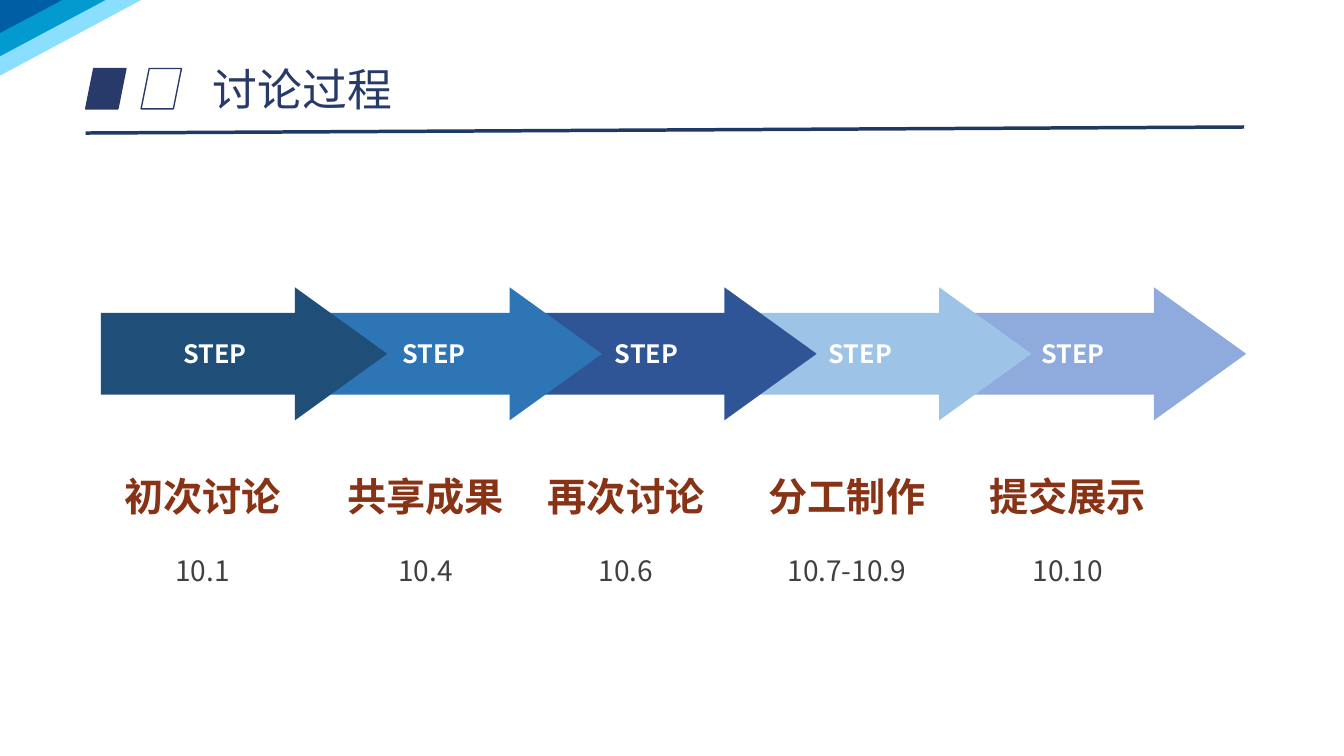
"""Build a discussion timeline slide with five overlapping step arrows."""
from dataclasses import dataclass

from lxml import etree
from pptx import Presentation
from pptx import util as u
from pptx.dml.color import RGBColor
from pptx.enum import shapes, text
from pptx.oxml.ns import qn

FONT = "Noto Sans CJK SC"
COLORS = {
    "corner_dark": "005EA4", "corner_mid": "039ACF", "corner_light": "89DFFD",
    "step1": "1F4E79", "step2": "2E75B6", "step3": "2F5597",
    "step4": "9DC3E6", "step5": "8FAADC",
    "white": "FFFFFF", "navy": "283A69", "rule": "203864",
    "stage": "883316", "date": "404040",
}
ARROW_LEFT, ARROW_PITCH = 1, 2.13


@dataclass(frozen=True)
class Band:
    color: str
    points: tuple


@dataclass(frozen=True)
class Step:
    color: str
    stage: str
    date: str
    tag_left: float
    label_left: float


@dataclass(frozen=True)
class Marker:
    left: float
    filled: bool


BANDS = [
    Band("corner_dark", ((0, 0.36), (0, 0), (0.68, 0))),
    Band("corner_mid", ((0, 0.61), (0, 0.33), (0.62, 0), (1.13, 0))),
    Band("corner_light", ((0, 0.75), (0, 0.56), (1.05, 0), (1.4, 0))),
]
STEPS = [
    Step("step1", "初次讨论", "10.1", 1.72, 1.13),
    Step("step2", "共享成果", "10.4", 3.89, 3.34),
    Step("step3", "再次讨论", "10.6", 6, 5.33),
    Step("step4", "分工制作", "10.7-10.9", 8.12, 7.52),
    Step("step5", "提交展示", "10.10", 10.23, 9.71),
]
MARKERS = [Marker(0.85, True), Marker(1.4, False)]


def color(name: str) -> RGBColor:
    return RGBColor.from_string(COLORS[name])


def inches(*lengths: float) -> list:
    return [u.Inches(length) for length in lengths]


def fill_plain(shape, name: str) -> None:
    shape.shadow.inherit = False
    shape.fill.solid()
    shape.fill.fore_color.rgb = color(name)
    shape.line.fill.background()


def format_paragraph(paragraph, size: float, name: str, bold: bool = False) -> None:
    for run in paragraph.runs:
        run.font.size = u.Pt(size)
        run.font.bold = bold
        run.font.color.rgb = color(name)
        run.font.name = FONT
        east_asian = etree.SubElement(run.font._element, qn("a:ea"))
        east_asian.set("typeface", FONT)


def add_text(slide, box: tuple, words: str):
    frame = slide.shapes.add_textbox(*inches(*box)).text_frame
    frame.word_wrap = True
    frame.text = words
    return frame


def add_band(slide, band: Band) -> None:
    start, *rest = [inches(*point) for point in band.points]
    builder = slide.shapes.build_freeform(*start)
    builder.add_line_segments(rest, close=True)
    fill_plain(builder.convert_to_shape(), band.color)


def add_arrow(slide, index: int, step: Step) -> None:
    left = ARROW_LEFT + index * ARROW_PITCH
    arrow = slide.shapes.add_shape(
        shapes.MSO_SHAPE.RIGHT_ARROW, *inches(left, 2.85, 2.84, 1.32))
    arrow.adjustments[0] = 0.614
    arrow.adjustments[1] = 0.693
    fill_plain(arrow, step.color)


def add_tag(slide, step: Step) -> None:
    frame = add_text(slide, (step.tag_left, 3.21, 1.98, 0.6), "STEP")
    frame.vertical_anchor = text.MSO_ANCHOR.MIDDLE
    frame.margin_top = frame.margin_bottom = u.Inches(0.1)
    format_paragraph(frame.paragraphs[0], 18, "white", bold=True)


def add_label(slide, step: Step) -> None:
    frame = add_text(slide, (step.label_left, 4.17, 1.76, 1.68),
                     f"{step.stage}\n{step.date}")
    frame.word_wrap = False
    frame.auto_size = text.MSO_AUTO_SIZE.SHAPE_TO_FIT_TEXT
    for paragraph in frame.paragraphs:
        paragraph.alignment = text.PP_ALIGN.CENTER
        paragraph.line_spacing = 2.0
    stage, date = frame.paragraphs
    format_paragraph(stage, 28, "stage", bold=True)
    format_paragraph(date, 20, "date")


def add_marker(slide, marker: Marker) -> None:
    shape = slide.shapes.add_shape(
        shapes.MSO_SHAPE.FLOWCHART_DATA, *inches(marker.left, 0.68, 0.4, 0.4))
    fill_plain(shape, "navy")
    if not marker.filled:
        shape.fill.background()
    shape.line.color.rgb = color("navy")
    shape.line.width = u.Pt(1)


def add_header(slide) -> None:
    title = add_text(slide, (2.01, 0.56, 4.85, 0.64), "讨论过程")
    title.auto_size = text.MSO_AUTO_SIZE.SHAPE_TO_FIT_TEXT
    format_paragraph(title.paragraphs[0], 32, "navy")
    rule = slide.shapes.add_connector(
        shapes.MSO_CONNECTOR.STRAIGHT, *inches(0.85, 1.32, 12.34, 1.26))
    rule.line.color.rgb = color("rule")
    rule.line.width = u.Pt(2.5)
    etree.SubElement(rule._element.spPr, qn("a:effectLst"))
    for marker in MARKERS:
        add_marker(slide, marker)


def main() -> None:
    presentation = Presentation()
    presentation.slide_width, presentation.slide_height = inches(13.33, 7.5)
    slide = presentation.slides.add_slide(presentation.slide_layouts[6])
    for band in BANDS:
        add_band(slide, band)
    for index, step in reversed(list(enumerate(STEPS))):
        add_arrow(slide, index, step)
    for step in STEPS:
        add_tag(slide, step)
    for step in STEPS:
        add_label(slide, step)
    add_header(slide)
    presentation.save("out.pptx")


if __name__ == "__main__":
    main()
